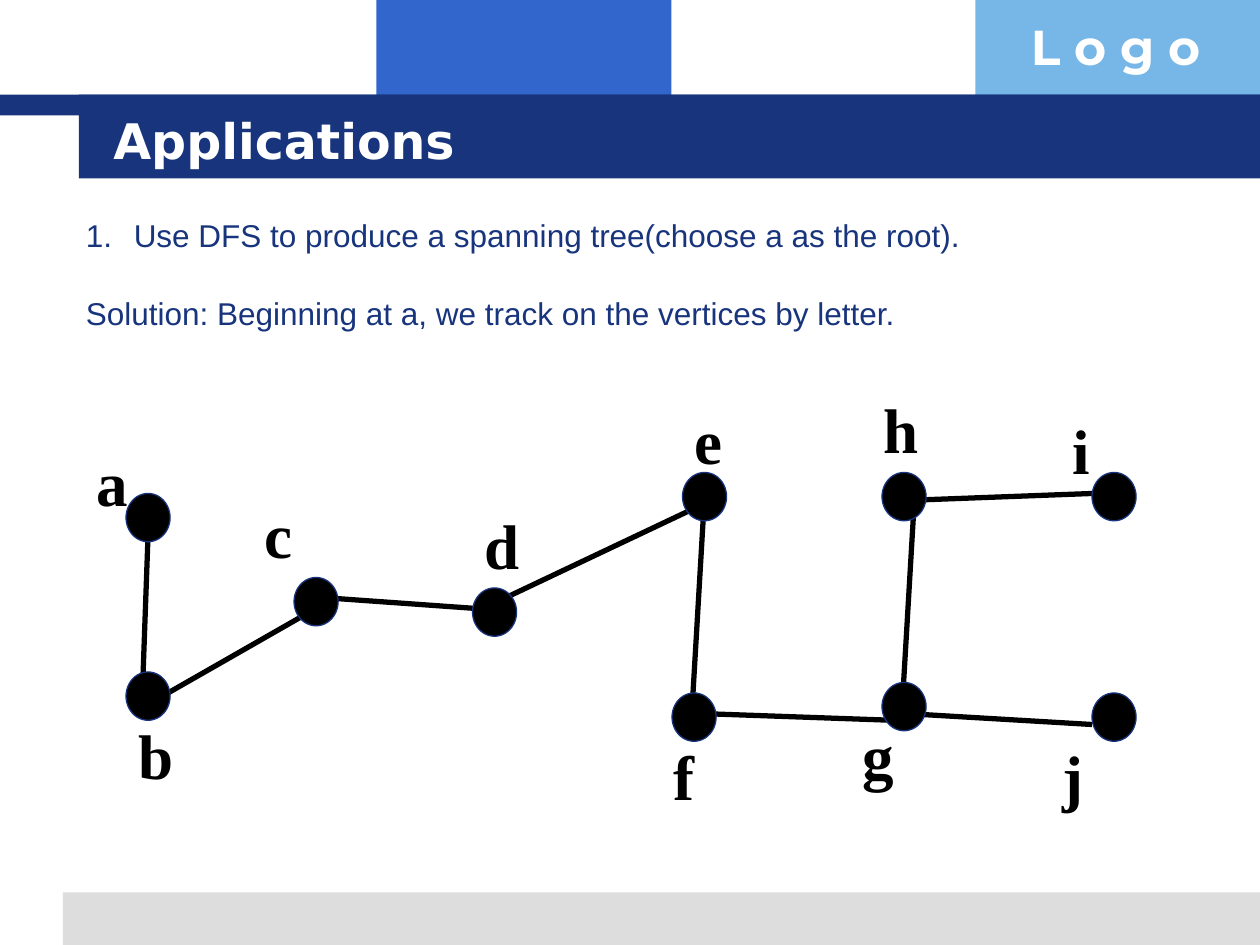
import lxml.etree
import pptx
import pptx.dml.color
import pptx.enum.shapes
import pptx.enum.text
import pptx.oxml.ns
import pptx.util
from dataclasses import dataclass

qn = pptx.oxml.ns.qn
MSO_SHAPE = pptx.enum.shapes.MSO_SHAPE
ANCHOR = pptx.enum.text.MSO_ANCHOR


@dataclass(frozen=True)
class Theme:
    navy: str = "17347D"
    blue: str = "3366CC"
    sky: str = "77B7E7"
    grey: str = "DDDDDD"
    black: str = "000000"
    white: str = "FFFFFF"
    title_font: str = "DejaVu Sans"
    logo_font: str = "Montserrat"
    body_font: str = "Arial"
    label_font: str = "Times New Roman"
    heading_size: int = 28
    body_size: int = 18
    label_size: int = 36


def grid(*units):
    """Turn grid units, twelve to the inch, into lengths."""
    return [pptx.util.Inches(u / 12) for u in units]


def rgb(color):
    return pptx.dml.color.RGBColor.from_string(color)


def add_run(p, text, *, font, size, color, bold=False):
    p.alignment = pptx.enum.text.PP_ALIGN.LEFT
    r = p.add_run()
    r.text = text
    r.font.name, r.font.size, r.font.bold = font, pptx.util.Pt(size), bold
    r.font.color.rgb = rgb(color)
    return r


class SlideBuilder:
    NODE = (4.2, 4.6)
    LABEL = (7.4, 10)

    def __init__(self, prs, theme):
        self.theme = theme
        self.slide = prs.slides.add_slide(prs.slide_layouts[5])
        self.shapes = self.slide.shapes

    def shape(self, kind, box, fill, line=None):
        sp = self.shapes.add_shape(kind, *grid(*box))
        sp.shadow.inherit = False
        sp.fill.solid()
        sp.fill.fore_color.rgb = rgb(fill)
        if line:
            sp.line.color.rgb = rgb(line)
            sp.line.width = pptx.util.Pt(0.75)
        else:
            sp.line.fill.background()
        return sp

    def bar(self, box, fill):
        return self.shape(MSO_SHAPE.RECTANGLE, box, fill)

    def title(self, text, box):
        sp = self.shapes.title
        sp.left, sp.top, sp.width, sp.height = grid(*box)
        self.shapes._spTree.append(sp._element)  # in front of the title bar
        tf = sp.text_frame
        tf.auto_size = pptx.enum.text.MSO_AUTO_SIZE.NONE
        tf.vertical_anchor = ANCHOR.MIDDLE
        t = self.theme
        add_run(tf.paragraphs[0], text, font=t.title_font,
                size=t.heading_size, color=t.white, bold=True)

    def text(self, text, box, **style):
        tf = self.shapes.add_textbox(*grid(*box)).text_frame
        tf.word_wrap = True
        tf.vertical_anchor = ANCHOR.TOP
        add_run(tf.paragraphs[0], text, **style)
        return tf

    def body(self, question, solution, box):
        t = self.theme
        style = dict(font=t.body_font, size=t.body_size, color=t.navy)
        tf = self.text(question, box, **style)
        p = tf.add_paragraph()
        p.space_before = pptx.util.Pt(22.7)
        add_run(p, solution, **style)
        hang = pptx.util.Inches(0.38)
        for p in tf.paragraphs:
            pPr = p._p.get_or_add_pPr()
            pPr.set("marL", str(hang))
            pPr.set("indent", str(-hang))
        pPr = tf.paragraphs[0]._p.get_or_add_pPr()
        color = lxml.etree.SubElement(pPr, qn("a:buClr"))
        lxml.etree.SubElement(color, qn("a:srgbClr"), val=t.navy)
        lxml.etree.SubElement(pPr, qn("a:buAutoNum"), type="arabicPeriod")

    def node(self, corner):
        t = self.theme
        self.shape(MSO_SHAPE.OVAL, corner + self.NODE, t.black, t.navy)

    def label(self, name, corner):
        t = self.theme
        tf = self.text(name, corner + self.LABEL, font=t.label_font,
                       size=t.label_size, color=t.black, bold=True)
        tf.margin_top = pptx.util.Inches(0.1)

    def edge(self, start, end):
        line = self.shapes.add_connector(
            pptx.enum.shapes.MSO_CONNECTOR.STRAIGHT, *grid(*start, *end))
        line.line.color.rgb = rgb(self.theme.black)
        line.line.width = pptx.util.Pt(3)
        lxml.etree.SubElement(line._element.spPr, qn("a:effectLst"))


# vertex: (corner of its dot, corner of its label)
VERTICES = {
    "a": ((12, 47), (8, 41)),
    "b": ((12, 64), (12, 67)),
    "c": ((28, 55), (24, 46)),
    "d": ((45, 56), (45, 47)),
    "e": ((65, 45), (65, 37)),
    "f": ((64, 66), (63, 69)),
    "g": ((84, 65), (81, 67)),
    "h": ((84, 45), (83, 36)),
    "i": ((104, 45), (101, 38)),
    "j": ((104, 66), (100, 69)),
}
TREE_EDGES = [
    ((14.1, 51), (13.6, 65)),   # a-b
    ((30, 58), (16, 66)),       # c-b
    ((46, 58), (32, 57)),       # d-c
    ((67, 48), (48, 57)),       # e-d
    ((67, 49), (66, 66)),       # e-f
    ((85, 68.6), (68, 68)),     # g-f
    ((104, 47), (88, 47.6)),    # i-h
    ((87, 49), (86, 66)),       # h-g
    ((104, 69), (87, 68)),      # j-g
]


def main():
    prs = pptx.Presentation()
    prs.slide_width, prs.slide_height = grid(120, 90)
    t = Theme()
    s = SlideBuilder(prs, t)

    for box, fill in [
        ((35.85, 0, 28.1, 11), t.blue),
        ((92.9, 0, 27.1, 11), t.sky),
        ((6, 85, 114, 5), t.grey),
        ((0, 9, 120, 2), t.navy),
        ((7.5, 9, 112.5, 8), t.navy),
    ]:
        s.bar(box, fill)
    s.text("L o g o", (97, 1, 23, 6.8), font=t.logo_font,
           size=t.heading_size, color=t.white, bold=True)
    s.title("Applications", (9.6, 9.6, 102.4, 7.4))
    s.body("Use DFS to produce a spanning tree(choose a as the root).",
           "Solution: Beginning at a, we track on the vertices by letter.",
           (7, 20, 105, 12))

    for start, end in TREE_EDGES:
        s.edge(start, end)
    for name, (dot, label) in VERTICES.items():
        s.node(dot)
        s.label(name, label)
    prs.save("out.pptx")


if __name__ == "__main__":
    main()
